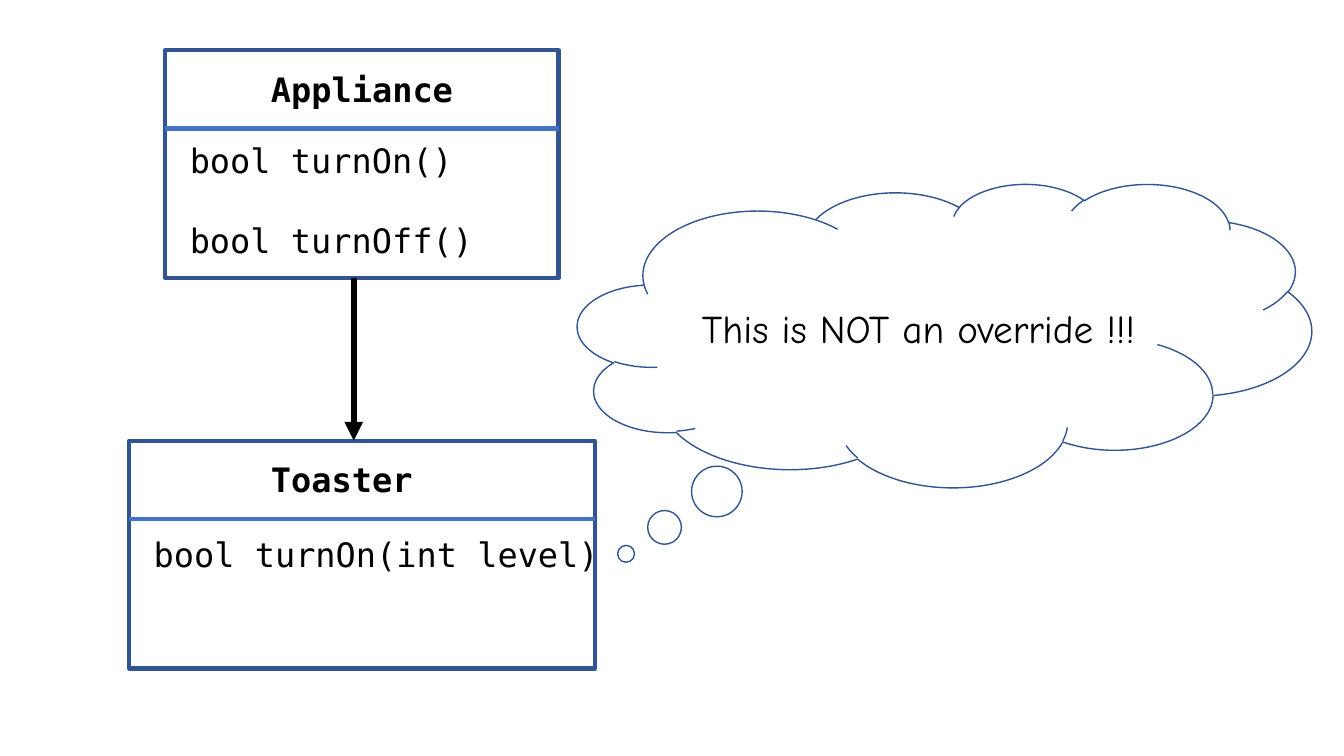
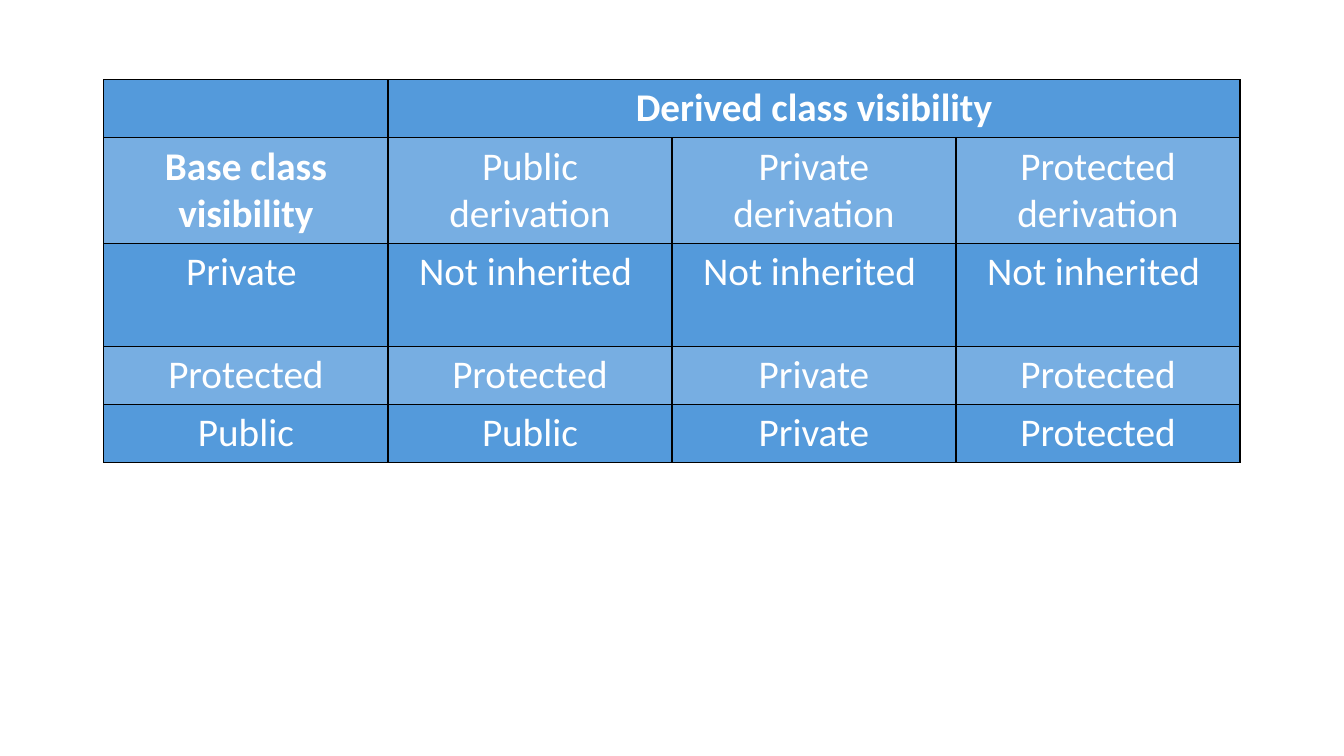
import pptx
import pptx.dml.color
import pptx.enum.dml
import pptx.enum.shapes
import pptx.enum.text
import pptx.oxml
import pptx.oxml.ns
import pptx.util

Pt = pptx.util.Pt
SHAPE = pptx.enum.shapes.MSO_SHAPE
CENTER = pptx.enum.text.PP_ALIGN.CENTER

COLORS = {"outline": "325491", "divider": "4472C4", "ink": "000000",
          "white": "FFFFFF", "row": "549ADB", "band": "77AEE2"}
CODE = {"name": "DejaVu Sans Mono", "size": Pt(24)}
CLASS_NAME = CODE | {"bold": True}
THOUGHT = {"name": "Comic Neue", "size": Pt(28)}
TABLE_TEXT = {"name": "Calibri", "size": Pt(28)}

CLASS_HEIGHT, HEADER_HEIGHT = 162.7, 55.8
NAME_LEFT, ARROW_X = 186.5, 252.7
CLASSES = [
    {"name": "Appliance", "left": 118, "top": 36, "width": 281,
     "members": ["bool turnOn()", "bool turnOff()"],
     "members_top": 60.5, "members_width": 260},
    {"name": "Toaster", "left": 92.2, "top": 314.8, "width": 332.6,
     "members": ["bool turnOn(int level)"],
     "members_top": 63.2, "members_width": 361},
]
REMARK = "This is NOT an override !!!"

HEADING = "Derived class visibility"
VISIBILITY = [
    ["", HEADING, "", ""],
    ["Base class visibility", "Public derivation", "Private derivation",
     "Protected derivation"],
    ["Private "] + ["Not inherited "] * 3,
    ["Protected", "Protected", "Private", "Protected"],
    ["Public", "Public", "Private", "Protected"],
]
BOLD_CELLS = {HEADING, "Base class visibility"}
ROW_HEIGHTS = [41.4, 75.6, 73.6, 41.4, 41.4]
COLUMN_WIDTH = 202.9


def rgb(color):
    return pptx.dml.color.RGBColor.from_string(COLORS[color])


def write(para, text, style, color="ink"):
    span = para.add_run()
    span.text = text
    for key, value in style.items():
        setattr(span.font, key, value)
    span.font.color.rgb = rgb(color)


def add_outline(page, kind, left, top, width, height, weight):
    """Add an unfilled shape with the diagram's outline colour."""
    shape = page.shapes.add_shape(kind, Pt(left), Pt(top), Pt(width), Pt(height))
    shape.shadow.inherit = False
    shape.fill.background()
    shape.line.color.rgb = rgb("outline")
    shape.line.width = Pt(weight)
    return shape


def add_line(page, start, end, color, weight, arrow=False):
    points = [Pt(value) for value in start + end]
    line = page.shapes.add_connector(pptx.enum.shapes.MSO_CONNECTOR.STRAIGHT, *points)
    line.line.color.rgb = rgb(color)
    line.line.width = Pt(weight)
    if arrow:
        head = pptx.oxml.parse_xml(
            f'<a:tailEnd {pptx.oxml.ns.nsdecls("a")} type="triangle"/>')
        line.line._get_or_add_ln().append(head)
    line._element.spPr.append(
        pptx.oxml.parse_xml(f'<a:effectLst {pptx.oxml.ns.nsdecls("a")}/>'))


def add_code(page, left, top, width, height, lines, style):
    box = page.shapes.add_textbox(Pt(left), Pt(top), Pt(width), Pt(height))
    frame = box.text_frame
    frame.word_wrap = True
    for index, text in enumerate(lines):
        para = frame.add_paragraph() if index else frame.paragraphs[0]
        if index:
            para.space_before = Pt(28)
        write(para, text, style)


def add_class(page, item):
    left, top, width = item["left"], item["top"], item["width"]
    add_outline(page, SHAPE.RECTANGLE, left, top, width, CLASS_HEIGHT, 3)
    divider = top + HEADER_HEIGHT
    add_line(page, (left, divider), (left + width, divider), "divider", 3)
    add_code(page, NAME_LEFT, top + 9.7, 160.6, 36, [item["name"]], CLASS_NAME)
    add_code(page, left + 10.5, top + item["members_top"], item["members_width"],
             36 + 58 * (len(item["members"]) - 1), item["members"], CODE)


def build_diagram(page):
    for item in CLASSES:
        add_class(page, item)
    base, derived = CLASSES
    add_line(page, (ARROW_X, base["top"] + CLASS_HEIGHT),
             (ARROW_X, derived["top"]), "ink", 4.5, arrow=True)
    cloud = add_outline(page, SHAPE.CLOUD_CALLOUT, 412.6, 131, 524.2, 216.7, 1)
    cloud.adjustments[0], cloud.adjustments[1] = -0.434, 0.721
    frame = cloud.text_frame
    frame.word_wrap = True
    frame.vertical_anchor = pptx.enum.text.MSO_ANCHOR.MIDDLE
    frame.paragraphs[0].alignment = CENTER
    write(frame.paragraphs[0], REMARK, THOUGHT)


def add_borders(cell):
    properties = cell._tc.get_or_add_tcPr()
    for index, side in enumerate(("lnL", "lnR", "lnT", "lnB")):
        properties.insert(index, pptx.oxml.parse_xml(
            f'<a:{side} {pptx.oxml.ns.nsdecls("a")} w="{Pt(1)}"><a:solidFill>'
            f'<a:srgbClr val="{COLORS["ink"]}"/></a:solidFill></a:{side}>'))


def build_table(page):
    columns = len(VISIBILITY[0])
    table = page.shapes.add_table(
        len(VISIBILITY), columns, Pt(74.2), Pt(56.9),
        Pt(COLUMN_WIDTH * columns), Pt(sum(ROW_HEIGHTS))).table
    for column in table.columns:
        column.width = Pt(COLUMN_WIDTH)
    for r, (texts, height) in enumerate(zip(VISIBILITY, ROW_HEIGHTS)):
        table.rows[r].height = Pt(height)
        for c, text in enumerate(texts):
            cell = table.cell(r, c)
            cell.fill.solid()
            cell.fill.fore_color.rgb = rgb("band" if r % 2 else "row")
            add_borders(cell)
            if text:
                para = cell.text_frame.paragraphs[0]
                para.alignment = CENTER
                write(para, text, TABLE_TEXT | {"bold": text in BOLD_CELLS}, "white")
    table.cell(0, 1).merge(table.cell(0, columns - 1))


def main():
    deck = pptx.Presentation()
    deck.slide_width, deck.slide_height = Pt(960), Pt(540)
    for build in (build_diagram, build_table):
        build(deck.slides.add_slide(deck.slide_layouts[6]))
    deck.save("out.pptx")


if __name__ == "__main__":
    main()
